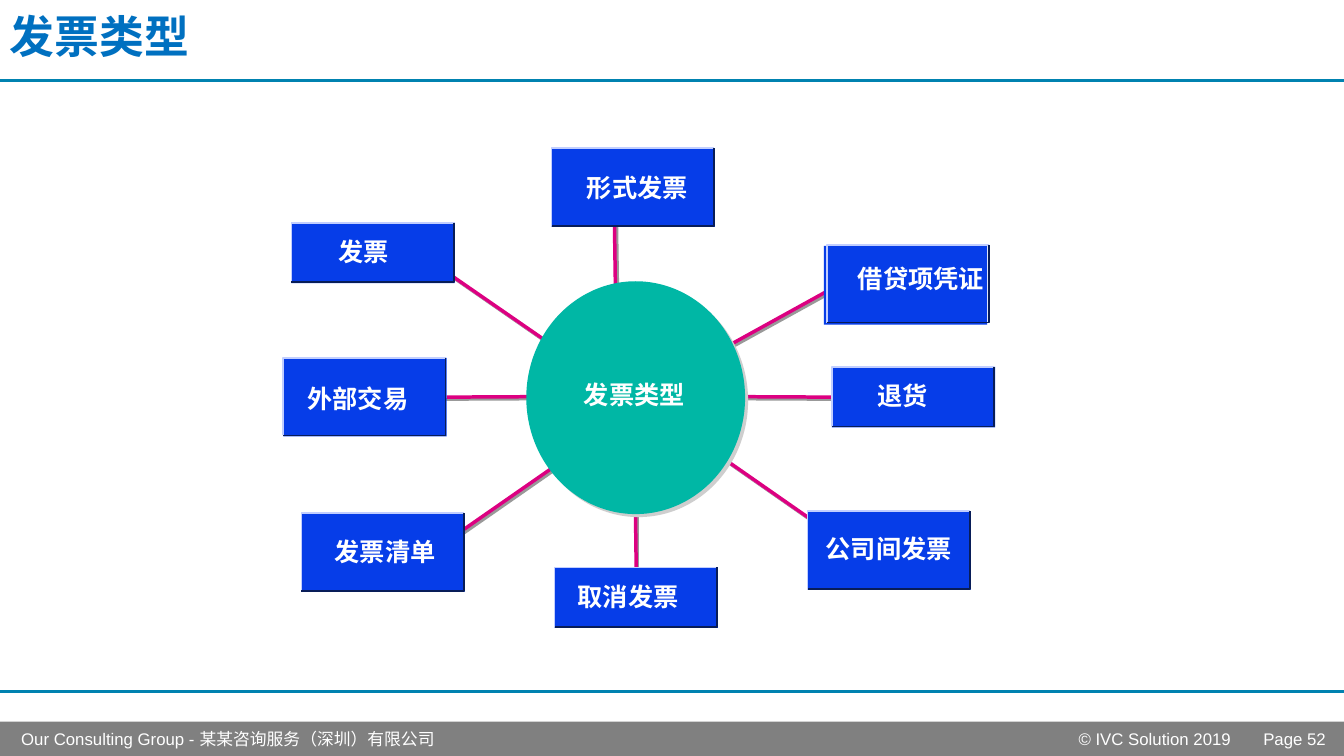
"""Build the invoice types slide: a hub circle with eight linked boxes."""
from dataclasses import dataclass
from typing import Any, Optional

from lxml.etree import SubElement
from pptx import Presentation
from pptx.dml.color import RGBColor
from pptx.enum.shapes import MSO_CONNECTOR as CXN, MSO_SHAPE as SHP
from pptx.enum.text import MSO_ANCHOR as ANC, MSO_AUTO_SIZE as AUTO
from pptx.oxml.ns import qn
from pptx.util import Inches, Pt

COLORS = {
    "white": "FFFFFF", "bar": "808080", "rule": "0082B0", "title": "0070C0",
    "spoke": "DC0081", "spoke_shade": "999999", "hub": "00B7A5",
    "hub_shade": "CECECE", "box": "063DE8", "light": "C1CEFF", "dark": "081D58",
}
CJK = "Noto Sans CJK SC"
TITLE = {"size": Pt(32), "bold": True, "name": CJK}
LABEL = {"size": Pt(18), "bold": True, "name": CJK}
FOOTER = {"size": Pt(12), "bold": False, "name": "Arial"}
SLIDE_W, SLIDE_H = 13.33, 7.5
BOX_W = 1.62
EDGE = 0.01


@dataclass
class Node:
    text: str
    x: float
    y: float
    h: float
    text_x: float
    text_y: float
    spoke: tuple[float, float, float, float]
    side: Optional[int] = None
    bevel_dx: float = 0
    bevel_dy: float = 0


NODES = [
    Node("发票", 2.89, 2.21, 0.6, 3.36, 2.38, (4.27, 2.59, 6.12, 3.87)),
    Node("外部交易", 2.81, 3.55, 0.78, 3.05, 3.84, (4.33, 3.94, 6.32, 3.93), 3),
    Node("发票清单", 2.99, 5.09, 0.78, 3.32, 5.36, (4.46, 5.35, 6.3, 4.07)),
    Node("取消发票", 5.5, 5.63, 0.6, 5.73, 5.8, (6.3, 5.71, 6.3, 4.87), 0),
    Node("公司间发票", 8.01, 5.07, 0.78, 8.19, 5.33, (8.34, 5.36, 6.49, 4.07)),
    Node("退货", 8.25, 3.64, 0.6, 8.7, 3.81, (8.28, 3.94, 6.29, 3.93), 1),
    Node("借贷项凭证", 8.17, 2.44, 0.78, 8.51, 2.65, (8.31, 2.83, 6.3, 3.94),
         bevel_dx=0.03, bevel_dy=-0.01),
    Node("形式发票", 5.47, 1.47, 0.78, 5.82, 1.75, (6.09, 1.92, 6.11, 3.27)),
]


def rgb(key: str) -> RGBColor:
    return RGBColor.from_string(COLORS[key])


def add_filled(s: Any, kind: Any, x: float, y: float, w: float, h: float, key: str) -> Any:
    sp = s.shapes.add_shape(kind, Inches(x), Inches(y), Inches(w), Inches(h))
    sp.shadow.inherit = False
    sp.fill.solid()
    sp.fill.fore_color.rgb = rgb(key)
    sp.line.fill.background()
    return sp


def add_line(s: Any, x1: float, y1: float, x2: float, y2: float, key: str, pt: float) -> Any:
    cxn = s.shapes.add_connector(CXN.STRAIGHT, *map(Inches, (x1, y1, x2, y2)))
    cxn.line.color.rgb = rgb(key)
    cxn.line.width = Pt(pt)
    SubElement(cxn._element.spPr, qn("a:effectLst"))
    return cxn


def add_text(s: Any, text: str, x: float, y: float, w: float, h: float, fmt: dict[str, Any],
             key: str = "white", inset: tuple[float, float] = (0, 0), spacing: float = 1,
             wrap: bool = True, anchor: Any = ANC.TOP, tabs: tuple[float, ...] = ()) -> None:
    sp = s.shapes.add_textbox(Inches(x), Inches(y), Inches(w), Inches(h))
    tf = sp.text_frame
    dx, dy = map(Inches, inset)
    frame = {"word_wrap": wrap, "vertical_anchor": anchor, "auto_size": AUTO.NONE,
             "margin_left": dx, "margin_right": dx, "margin_top": dy, "margin_bottom": dy}
    for name, value in frame.items():
        setattr(tf, name, value)
    p = tf.paragraphs[0]
    p.line_spacing = spacing
    if tabs:
        tab_list = SubElement(p._p.get_or_add_pPr(), qn("a:tabLst"))
        for pos in tabs:
            SubElement(tab_list, qn("a:tab"), pos=str(Inches(pos)), algn="r")
    r = p.add_run()
    r.text = text
    for name, value in fmt.items():
        setattr(r.font, name, value)
    r.font.color.rgb = rgb(key)
    if fmt["name"] == CJK:
        SubElement(r._r.get_or_add_rPr(), qn("a:ea"), typeface=CJK)


def add_label(s: Any, text: str, x: float, y: float) -> None:
    add_text(s, text, x, y, 0.25 * len(text) + 0.01, 0.27, LABEL, spacing=0.89, wrap=False)


def add_spoke(s: Any, node: Node) -> Any:
    for shift, key in ((0.02, "spoke_shade"), (-0.01, "white")):
        add_line(s, *(v + shift for v in node.spoke), key, 2.5)
    return add_line(s, *node.spoke, "spoke", 2.5)


def add_box(s: Any, node: Node) -> Any:
    box = add_filled(s, SHP.RECTANGLE, node.x, node.y, BOX_W, node.h, "box")
    add_label(s, node.text, node.text_x, node.text_y)
    left, top = node.x + node.bevel_dx, node.y + node.bevel_dy
    right, bottom = left + BOX_W - EDGE, top + node.h - EDGE
    for corner, key in (((left, top), "light"), ((right, bottom), "dark")):
        start, *rest = [tuple(map(Inches, pt))
                        for pt in ((right, top), corner, (left, bottom))]
        fb = s.shapes.build_freeform(*start)
        fb.add_line_segments(rest, close=False)
        sp = fb.convert_to_shape()
        sp.shadow.inherit = False
        sp.fill.background()
        sp.line.color.rgb = rgb(key)
        sp.line.width = Pt(1.25)
    return box


def add_frame(s: Any) -> None:
    add_filled(s, SHP.RECTANGLE, 0, 7.16, SLIDE_W, 0.34, "bar")
    footer = {"fmt": FOOTER, "inset": (0.08, 0.04), "spacing": 0.85}
    add_text(s, "\t© IVC Solution 2019\tPage 52", 8.32, 7.22, 4.92, 0.25,
             tabs=(3.81, 4.75), **footer)
    add_text(s, "Our Consulting Group - 某某咨询服务（深圳）有限公司",
             0.13, 7.22, 4.92, 0.25, **footer)
    for y in (6.86, 0.8):
        add_line(s, 0, y, SLIDE_W, y, "rule", 2)
    add_text(s, "发票类型", 0, 0, 12.89, 0.7, TITLE, "title", (0.1, 0.05), anchor=ANC.MIDDLE)


def main() -> None:
    prs = Presentation()
    prs.slide_width, prs.slide_height = Inches(SLIDE_W), Inches(SLIDE_H)
    s = prs.slides.add_slide(prs.slide_layouts[6])
    add_frame(s)
    spokes = [add_spoke(s, node) for node in NODES]
    for shift, key in ((0.03, "hub_shade"), (0, "hub")):
        add_filled(s, SHP.OVAL, 5.22 + shift, 2.79 + shift, 2.17, 2.31, key)
    add_label(s, "发票类型", 5.79, 3.8)
    for node, spoke in zip(NODES, spokes):
        box = add_box(s, node)
        if node.side is not None:
            spoke.begin_connect(box, node.side)
    prs.save("out.pptx")


if __name__ == "__main__":
    main()
